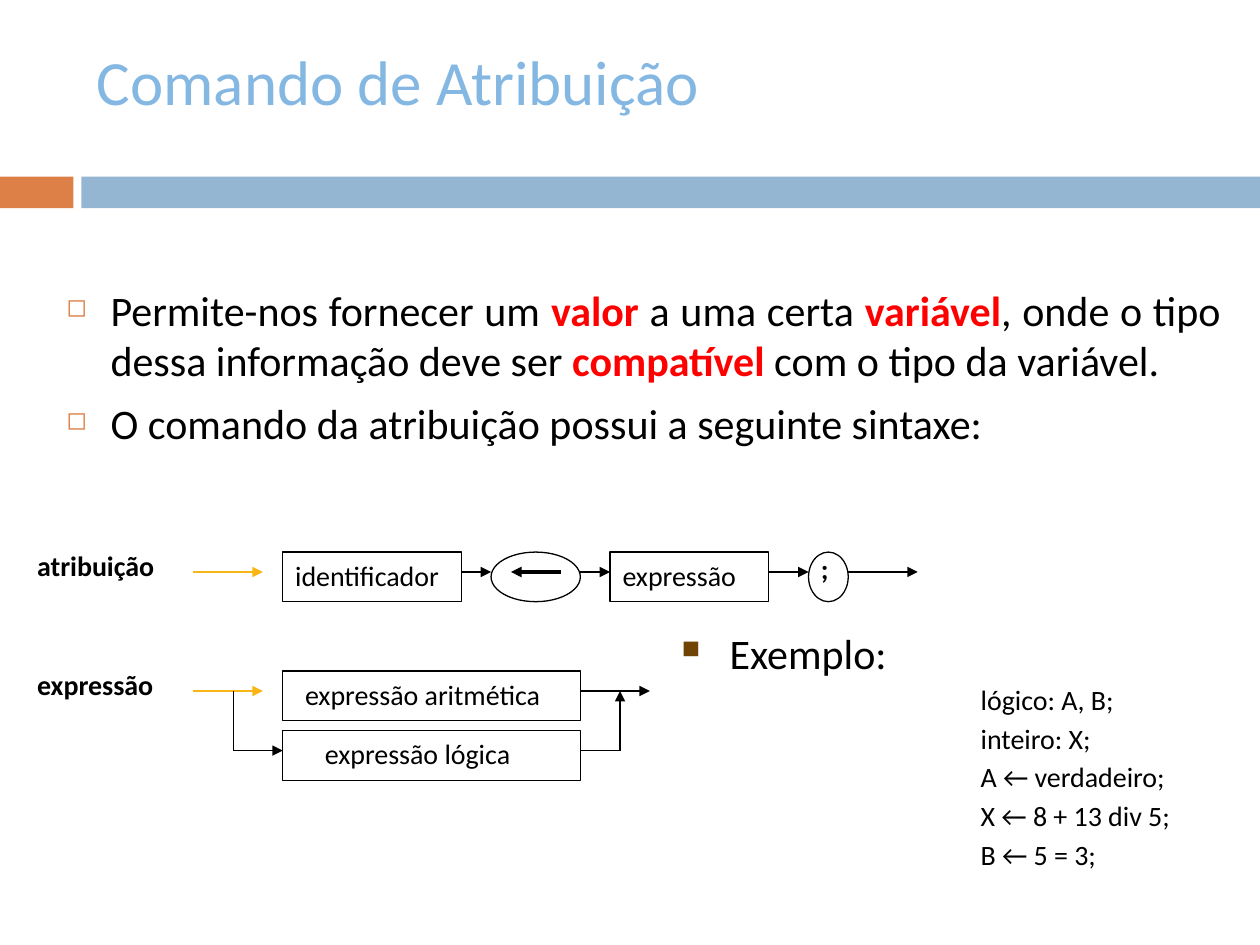
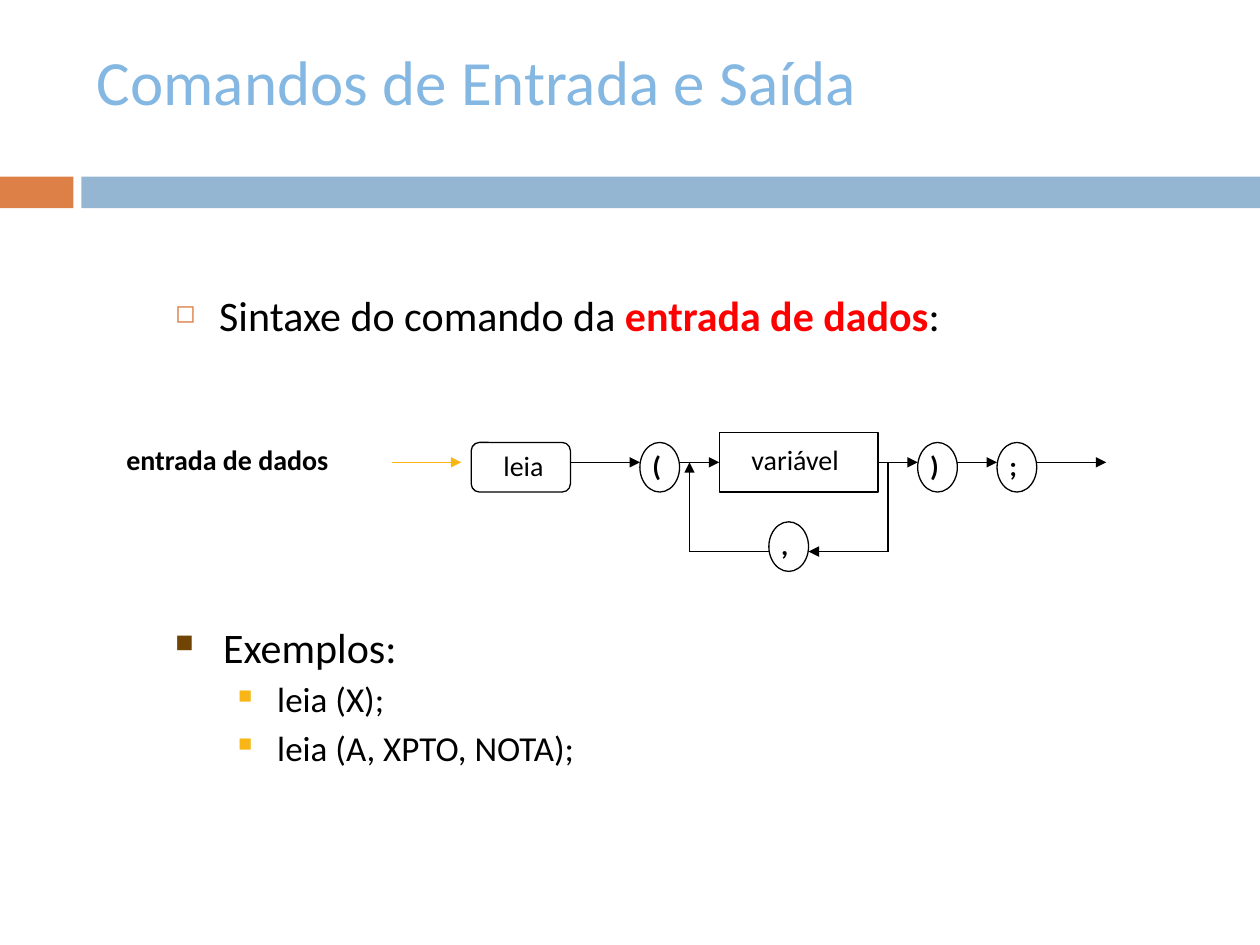
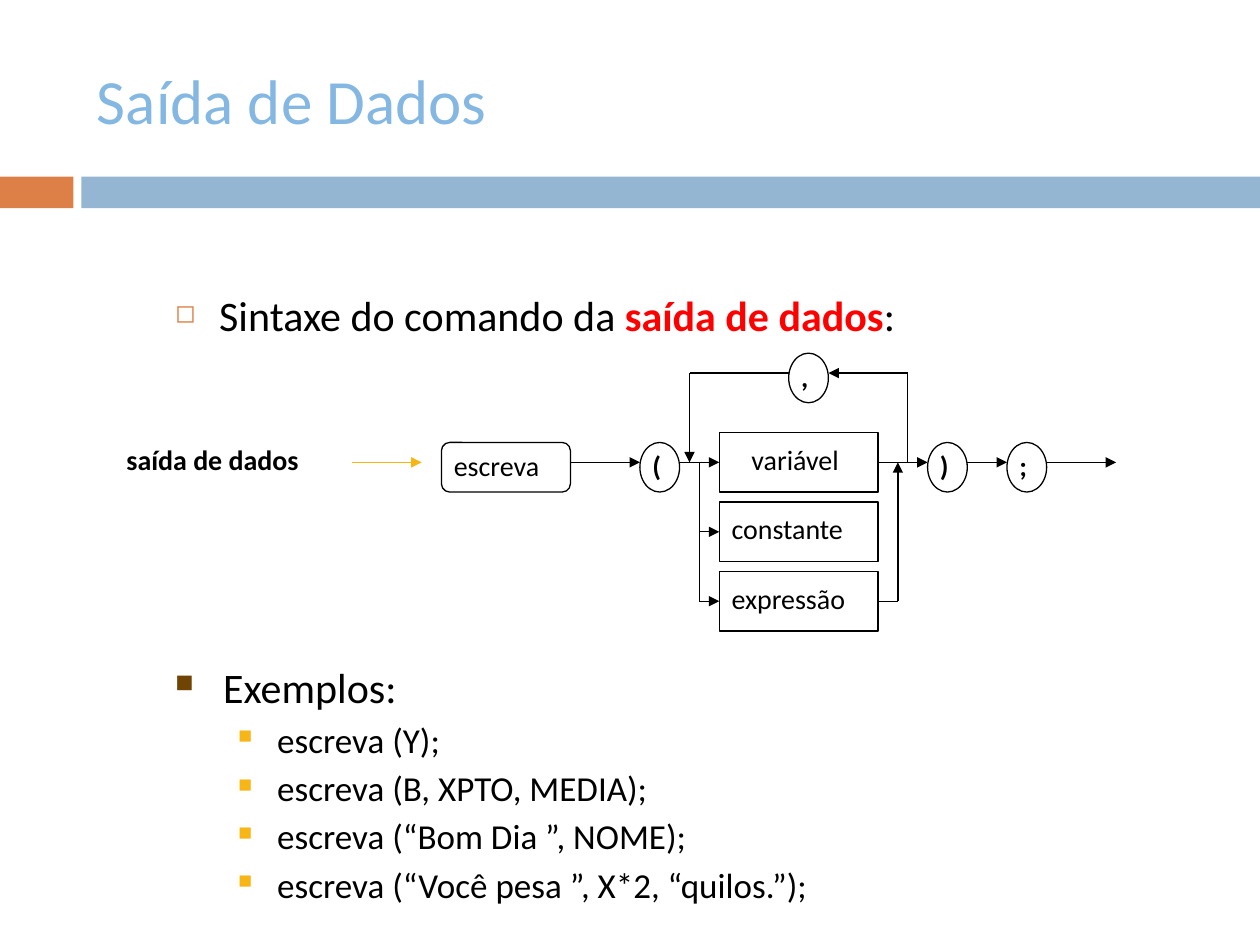
from dataclasses import dataclass
from itertools import pairwise
from typing import Any

from lxml.etree import SubElement
from pptx import Presentation
from pptx.dml.color import RGBColor
from pptx.enum.shapes import MSO_CONNECTOR, MSO_SHAPE
from pptx.enum.text import MSO_ANCHOR, MSO_AUTO_SIZE, PP_ALIGN
from pptx.oxml.ns import qn
from pptx.util import Cm, Pt

ORANGE = RGBColor(0xDD, 0x80, 0x47)
BLUE = RGBColor(0x94, 0xB6, 0xD2)
TITLE_BLUE = RGBColor(0x84, 0xB8, 0xE2)
BROWN = RGBColor(0x70, 0x44, 0x04)
GOLD = RGBColor(0xF7, 0xB6, 0x15)
RED = RGBColor(0xFF, 0x00, 0x00)
BLACK = RGBColor(0x00, 0x00, 0x00)
WHITE = RGBColor(0xFF, 0xFF, 0xFF)

FONT = "Calibri"
TAIL = 1.4
FLOW_Y = 9.32
RECT, ROUND, OVAL = MSO_SHAPE.RECTANGLE, MSO_SHAPE.ROUNDED_RECTANGLE, MSO_SHAPE.OVAL

Point = tuple[float, float]


@dataclass(frozen=True)
class ParaStyle:
    """Size in points, indents in centimetres, and bullet of a paragraph."""
    size: float
    left: float
    hang: float
    before: float
    bullet: str = ""
    color: RGBColor = BLACK
    percent: int = 60
    level: int = 0


@dataclass(frozen=True)
class Node:
    """A box of a syntax diagram, in centimetres, with its label offset."""
    kind: MSO_SHAPE
    x: float
    y: float
    w: float
    h: float
    text: str = ""
    dx: float = 0
    dy: float = 0


POINT = ParaStyle(24, 0.89, 0.89, 7, "◻", ORANGE)
HEADING = ParaStyle(24, 0.97, 0.97, 4.3, "■", BROWN)
EXAMPLE = ParaStyle(20, 2.06, 0.79, 3.6, "■", GOLD, 55, 1)
CODE = ParaStyle(16, 6.03, 0, 2.9)


def apply(target: Any, values: dict[str, Any]) -> None:
    """Set each named attribute of the target."""
    for name, value in values.items():
        setattr(target, name, value)


def add_run(p: Any, text: str, size: float, color: RGBColor = BLACK, bold: bool = False) -> None:
    """Append a formatted run to a paragraph."""
    r = p.add_run()
    r.text = text
    apply(r.font, {"name": FONT, "size": Pt(size), "bold": bold})
    r.font.color.rgb = color


def add_bullet(p: Any, style: ParaStyle) -> None:
    """Give a paragraph its indents and bullet."""
    pPr = p._p.get_or_add_pPr()
    pPr.set("marL", str(Cm(style.left)))
    pPr.set("indent", str(-Cm(style.hang)))
    if not style.bullet:
        SubElement(pPr, qn("a:buNone"))
        return
    clr = SubElement(pPr, qn("a:buClr"))
    SubElement(clr, qn("a:srgbClr"), val=str(style.color))
    SubElement(pPr, qn("a:buSzPct"), val=str(style.percent * 1000))
    SubElement(pPr, qn("a:buChar"), char=style.bullet)


def add_box(s: Any, x: float, y: float, w: float, h: float) -> Any:
    """Add a wrapping text box and return its text frame."""
    tf = s.shapes.add_textbox(Cm(x), Cm(y), Cm(w), Cm(h)).text_frame
    apply(tf, {"word_wrap": True, "auto_size": MSO_AUTO_SIZE.NONE})
    return tf


def add_text(s: Any, box: tuple[float, float, float, float],
             lines: list[tuple[ParaStyle, str]], align: PP_ALIGN = PP_ALIGN.LEFT) -> None:
    """Write paragraphs; the pieces between bars are highlighted."""
    tf = add_box(s, *box)
    for i, (style, text) in enumerate(lines):
        p = tf.add_paragraph() if i else tf.paragraphs[0]
        add_bullet(p, style)
        apply(p, {"level": style.level, "alignment": align,
                  "space_before": Pt(style.before if i else 0)})
        for j, piece in enumerate(text.split("|")):
            hot = j % 2 == 1
            add_run(p, piece, style.size, RED if hot else BLACK, hot)


def add_label(s: Any, text: str, x: float, y: float, w: float, bold: bool = False) -> None:
    """Write one diagram label."""
    add_run(add_box(s, x, y, w, 0.94).paragraphs[0], text, 16, bold=bold)


def add_shape(s: Any, kind: MSO_SHAPE, x: float, y: float, w: float, h: float,
              fill: RGBColor) -> Any:
    """Add a filled shape without shadow or outline."""
    sp = s.shapes.add_shape(kind, Cm(x), Cm(y), Cm(w), Cm(h))
    sp.shadow.inherit = False
    sp.fill.solid()
    sp.fill.fore_color.rgb = fill
    sp.line.fill.background()
    return sp


def add_node(s: Any, node: Node) -> None:
    """Draw a diagram box and its label."""
    sp = add_shape(s, node.kind, node.x, node.y, node.w, node.h, WHITE)
    sp.line.color.rgb = BLACK
    sp.line.width = Pt(0.75)
    if node.text:
        add_label(s, node.text, node.x + node.dx, node.y + node.dy,
                  node.w - node.dx, node.kind == OVAL)


def add_route(s: Any, *points: Point, color: RGBColor = BLACK, width: float = 0.75) -> None:
    """Join points by straight lines, with an arrowhead at the end."""
    for start, end in pairwise(points):
        cx = s.shapes.add_connector(MSO_CONNECTOR.STRAIGHT, *map(Cm, start + end))
        cx.line.color.rgb = color
        cx.line.width = Pt(width)
        if end == points[-1]:
            SubElement(cx.line._get_or_add_ln(), qn("a:tailEnd"), type="triangle")
        SubElement(cx._element.spPr, qn("a:effectLst"))


def add_chain(s: Any, entry: float, y: float, nodes: list[Node]) -> None:
    """Draw boxes in a row with an entry arrow, links and an exit arrow."""
    add_route(s, (entry, y), (entry + TAIL, y), color=GOLD)
    for node in nodes:
        add_node(s, node)
    for a, b in pairwise(nodes):
        add_route(s, (a.x + a.w, y), (b.x, y))
    end = nodes[-1].x + nodes[-1].w
    add_route(s, (end, y), (end + TAIL, y))


def symbol(text: str, x: float, y: float, dy: float = 0) -> Node:
    """Make a round box holding one sign."""
    return Node(OVAL, x, y, 0.8, 1, text, dy=dy)


def operand(text: str, y: float, dx: float = 0) -> Node:
    """Make a box for one of the things read or written."""
    return Node(RECT, 14.5, y, 3.2, 1.2, text, dx, 0.07)


def new_slide(prs: Any, title: str, bottom: float) -> Any:
    """Add a slide with its bands and title."""
    s = prs.slides.add_slide(prs.slide_layouts[5])
    add_shape(s, RECT, 0, 3.56, 1.48, 0.64, ORANGE)
    add_shape(s, RECT, 1.64, 3.56, 23.76, 0.64, BLUE)
    sp = s.shapes.title
    apply(sp, {"left": Cm(1.7), "top": Cm(0.64), "width": Cm(22.66), "height": Cm(2.74)})
    tf = sp.text_frame
    apply(tf, {"vertical_anchor": MSO_ANCHOR.MIDDLE, "auto_size": MSO_AUTO_SIZE.NONE,
               "word_wrap": True, "margin_bottom": Cm(bottom)})
    tf.paragraphs[0].alignment = PP_ALIGN.LEFT
    add_run(tf.paragraphs[0], title, 36, TITLE_BLUE)
    return s


def assignment_slide(prs: Any) -> None:
    """Build the slide on the assignment command."""
    s = new_slide(prs, "Comando de Atribuição", 0.9)
    add_text(s, (1.09, 5.61, 23.77, 4.72), [
        (POINT, "Permite-nos fornecer um |valor| a uma certa |variável|, onde o tipo "
                "dessa informação deve ser |compatível| com o tipo da variável."),
        (POINT, "O comando da atribuição possui a seguinte sintaxe:"),
    ], PP_ALIGN.JUSTIFY)
    top, middle, low = 11.13, 13.53, 14.73
    add_chain(s, 3.9, top + 0.4, [
        Node(RECT, 5.7, top, 3.6, 1, "identificador"),
        Node(OVAL, 9.9, top, 1.8, 1),
        Node(RECT, 12.3, top, 3.2, 1, "expressão"),
        symbol(";", 16.3, top, -0.13),
    ])
    add_route(s, (11.3, top + 0.4), (10.3, top + 0.4), width=2)
    add_chain(s, 3.9, middle + 0.4, [Node(RECT, 5.7, middle, 6, 1, "expressão aritmética", 0.2)])
    add_node(s, Node(RECT, 5.7, low, 6, 1, "expressão lógica", 0.6))
    add_route(s, (4.7, middle + 0.4), (4.7, low + 0.4), (5.7, low + 0.4))
    add_route(s, (11.7, low + 0.4), (12.5, low + 0.4), (12.5, middle + 0.4))
    for text, y in (("atribuição", top), ("expressão", middle)):
        add_label(s, text, 0.5, y - 0.2, 3.6, True)
    code = ["lógico: A, B;", "inteiro: X;", "A ← verdadeiro;", "X ← 8 + 13 div 5;", "B ← 5 = 3;"]
    add_text(s, (13.49, 12.52, 11.43, 5.92),
             [(HEADING, "Exemplo:")] + [(CODE, line) for line in code], PP_ALIGN.JUSTIFY)


def command_slide(prs: Any, title: str, bottom: float, topic: str, entry: float, word: Node,
                  close_x: float, comma: Node, loop: Point, examples_y: float,
                  examples: list[str]) -> Any:
    """Build a slide on a command that takes a list in parentheses."""
    s = new_slide(prs, title, bottom)
    add_text(s, (3.28, 5.72, 21.59, 1.52), [(POINT, f"Sintaxe do comando da |{topic}|:")])
    add_label(s, topic, 2.3, 8.79, 5.4, True)
    add_chain(s, entry, FLOW_Y, [
        word, symbol("(", 12.9, 8.92), operand("variável", 8.72, 0.4),
        symbol(")", close_x, 8.92), symbol(";", close_x + 1.6, 8.92),
    ])
    add_node(s, comma)
    loop_x, loop_y = loop
    add_route(s, (loop_x, FLOW_Y), (loop_x, loop_y), (comma.x + comma.w, loop_y))
    add_route(s, (comma.x, loop_y), (13.9, loop_y), (13.9, FLOW_Y))
    add_text(s, (3.28, examples_y, 21.59, 1.9 + 1.1 * len(examples)),
             [(HEADING, "Exemplos:")] + [(EXAMPLE, line) for line in examples])
    return s


def main() -> None:
    """Build and save the presentation."""
    prs = Presentation()
    apply(prs, {"slide_width": Cm(25.4), "slide_height": Cm(19.05)})
    assignment_slide(prs)
    command_slide(
        prs, "Comandos de Entrada e Saída", 0.9, "entrada de dados", 7.9,
        Node(ROUND, 9.5, 8.92, 2, 1, "leia", 0.4), 18.5, symbol(",", 15.5, 10.52),
        (17.9, 11.12), 12.4, ["leia (X);", "leia (A, XPTO, NOTA);"])
    s = command_slide(
        prs, "Saída de Dados", 0.13, "saída de dados", 7.1,
        Node(ROUND, 8.9, 8.92, 2.6, 1, "escreva"), 18.7, symbol(",", 15.9, 7.12),
        (18.3, 7.52), 13.21,
        ["escreva (Y);", "escreva (B, XPTO, MEDIA);", "escreva (“Bom Dia ”, NOME);",
         "escreva (“Você pesa ”, X*2, “quilos.”);"])
    for text, y in (("constante", 10.12), ("expressão", 11.52)):
        add_node(s, operand(text, y))
    add_route(s, (14.1, FLOW_Y), (14.1, 12.12), (14.5, 12.12))
    add_route(s, (14.1, 10.72), (14.5, 10.72))
    add_route(s, (17.7, 12.12), (18.1, 12.12), (18.1, FLOW_Y))
    prs.save("out.pptx")


if __name__ == "__main__":
    main()
